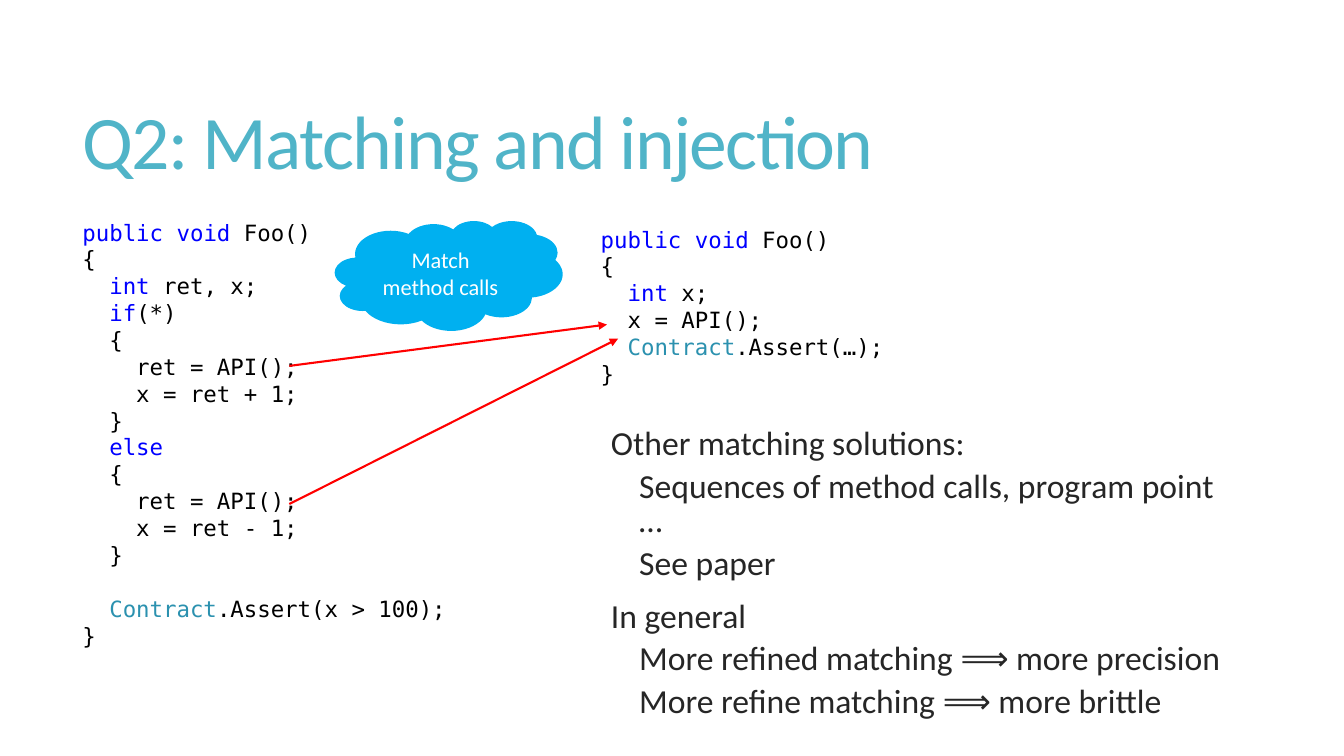
from lxml.etree import SubElement
from pptx import Presentation
from pptx.dml.color import RGBColor
from pptx.enum.shapes import MSO_CONNECTOR, MSO_SHAPE
from pptx.enum.text import MSO_ANCHOR, MSO_AUTO_SIZE, PP_ALIGN
from pptx.oxml.ns import qn
from pptx.util import Inches, Pt

WIDTH, HEIGHT = Inches(13.33), Inches(7.5)
COLOURS = {
    "title": "50B4C8",
    "body": "262626",
    "code": "000000",
    "keyword": "0000FF",
    "class": "2B91AF",
    "arrow": "FF0000",
    "cloud": "00B0F0",
    "cloud text": "FFFFFF",
}
TOKENS = dict.fromkeys(["public", "void", "int", "if", "else"], "keyword")
TOKENS["Contract"] = "class"

BRANCHING_CODE = """|public| |void| Foo()
{
  |int| ret, x;
  |if|(*)
  {
    ret = API();
    x = ret + 1;
  }
  |else|
  {
    ret = API();
    x = ret - 1;
  }

  |Contract|.Assert(x > 100);
}"""
MATCHED_CODE = """|public| |void| Foo()
{
  |int| x;
  x = API();
  |Contract|.Assert(…);
}"""
SOLUTIONS = [
    (0, "Other matching solutions:"),
    (1, "Sequences of method calls, program point …"),
    (1, "See paper"),
    (0, "In general"),
    (1, "More refined matching ⟹ more precision"),
    (1, "More refine matching ⟹ more brittle"),
]
INDENTS = [Inches(0.1), Inches(0.38)]
GAPS = [Pt(13), Pt(6)]


def colour(name):
    return RGBColor.from_string(COLOURS[name])


def share(left, top, *size):
    shares = zip((left, top, *size), (WIDTH, HEIGHT) * 2)
    return [round(part * whole / 100) for part, whole in shares]


def style(para, size, name, face="Calibri"):
    para.font.size = Pt(size)
    para.font.name = face
    para.font.color.rgb = colour(name)


def move(shape, box):
    shape.left, shape.top, shape.width, shape.height = box


def fill_title(title, box):
    move(title, box)
    frame = title.text_frame
    frame.text = "Q2: Matching and injection"
    frame.auto_size = MSO_AUTO_SIZE.NONE
    frame.vertical_anchor = MSO_ANCHOR.MIDDLE
    para = frame.paragraphs[0]
    para.alignment = PP_ALIGN.LEFT
    para.line_spacing = 0.85
    style(para, 54, "title")
    para.runs[0].font._element.set("spc", "-120")


def add_code(page, box, code):
    frame = page.shapes.add_textbox(*box).text_frame
    frame.word_wrap = True
    for index, line in enumerate(code.split("\n")):
        para = frame.add_paragraph() if index else frame.paragraphs[0]
        para.line_spacing = Pt(19.2)
        style(para, 16, "code", "DejaVu Sans Mono")
        for piece in filter(None, line.split("|")):
            span = para.add_run()
            span.text = piece
            if piece in TOKENS:
                span.font.color.rgb = colour(TOKENS[piece])


def add_arrow(page, start, end):
    arrow = page.shapes.add_connector(MSO_CONNECTOR.STRAIGHT, *start, *end)
    arrow.line.color.rgb = colour("arrow")
    arrow.line.width = Pt(1.5)
    SubElement(arrow.line._get_or_add_ln(), qn("a:tailEnd"), type="triangle")
    SubElement(arrow._element.spPr, qn("a:effectLst"))


def add_cloud(page, box):
    cloud = page.shapes.add_shape(MSO_SHAPE.CLOUD, *box)
    cloud.shadow.inherit = False
    cloud.fill.solid()
    cloud.fill.fore_color.rgb = colour("cloud")
    cloud.line.fill.background()
    frame = cloud.text_frame
    frame.word_wrap = True
    frame.vertical_anchor = MSO_ANCHOR.MIDDLE
    para = frame.paragraphs[0]
    para.text = "Match method calls"
    para.alignment = PP_ALIGN.CENTER
    style(para, 16, "cloud text")


def fill_solutions(body, box):
    move(body, box)
    frame = body.text_frame
    frame.auto_size = MSO_AUTO_SIZE.NONE
    for index, (level, text) in enumerate(SOLUTIONS):
        para = frame.add_paragraph() if index else frame.paragraphs[0]
        para.text = text
        para.level = level
        para.line_spacing = 0.85
        para.space_before = GAPS[level] if index else Pt(0)
        properties = para._p.get_or_add_pPr()
        properties.set("marL", str(INDENTS[level]))
        properties.set("indent", str(-INDENTS[level]))
        SubElement(properties, qn("a:buChar"), char=" ")
        style(para, 24, "body")


def main():
    deck = Presentation()
    deck.slide_width, deck.slide_height = WIDTH, HEIGHT
    page = deck.slides.add_slide(deck.slide_layouts[1])
    fill_title(page.shapes.title, share(5.4, 7.33, 88.37, 24.13))
    add_code(page, share(5.4, 28.27, 30.16, 58.8), BRANCHING_CODE)
    add_code(page, share(43.96, 29.2, 28.58, 22.93), MATCHED_CODE)
    add_arrow(page, share(21.53, 48.4), share(45.16, 42.93))
    add_arrow(page, share(21.53, 66.67), share(45.99, 44.8))
    add_cloud(page, share(24.91, 29.2, 16.95, 14.53))
    fill_solutions(page.placeholders[1], share(43.96, 56, 49.06, 38.13))
    deck.save("out.pptx")


if __name__ == "__main__":
    main()
